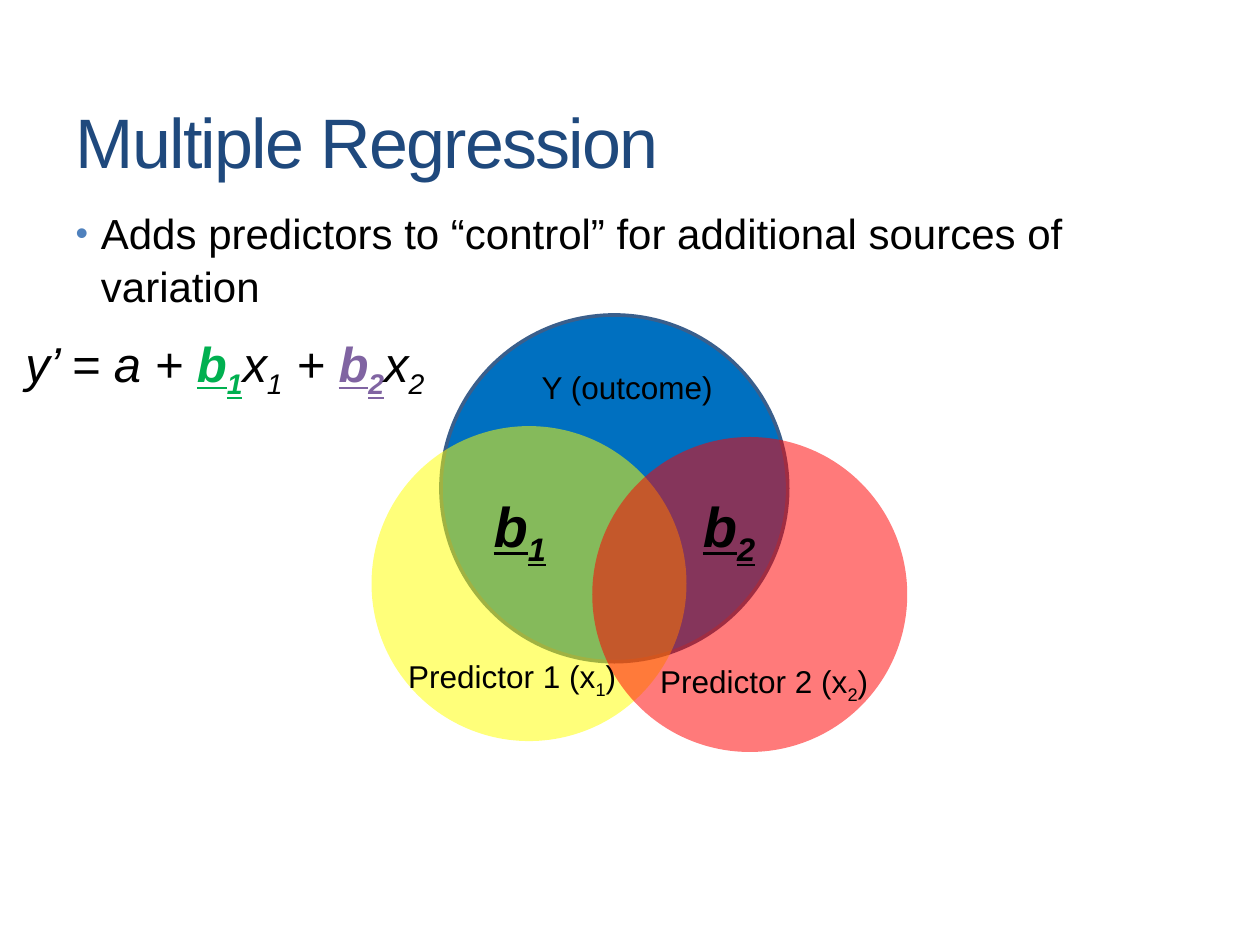
import pptx
import pptx.dml.color
import pptx.enum.shapes
import pptx.enum.text
import pptx.oxml.ns
import pptx.util
from lxml import etree

Cm = pptx.util.Cm
Pt = pptx.util.Pt
ALIGN = pptx.enum.text.PP_ALIGN

FONT = "Arial"
BLACK, NAVY, GREEN, PURPLE = "000000", "1F497D", "00B050", "8064A2"

TITLE = "Multiple Regression"
TITLE_AREA = (1.27, 1.47, 22.86, 2.74)
BULLET = "Adds predictors to “control” for additional sources of variation"
BODY_AREA = (1.27, 4.01, 22.86, 13.54)


def coefficient(number, colour):
    return [("b", colour, "bold"), (number, colour, "bold sub")]


def variable(number):
    return [("x", BLACK, ""), (number, BLACK, "sub")]


def predictor(number):
    return [(f"Predictor {number} (x", BLACK, ""), (number, BLACK, "sub"), (")", BLACK, "")]


FORMULA = [
    ("y’ = a + ", BLACK, ""),
    *coefficient("1", GREEN), *variable("1"),
    (" + ", BLACK, ""),
    *coefficient("2", PURPLE), *variable("2"),
]

LAYERS = [
    ("circle", (8.89, 6.35, 6.99), "0070C0", 100, "3A5F8C"),
    ("circle", (7.49, 8.59, 6.35), "FFFF00", 52, None),
    ("text", (10.67, 7.29, 4.45, 1.02), 18, False, ALIGN.LEFT, [("Y (outcome)", BLACK, "")]),
    ("text", (7.98, 13.13, 5.05, 1.8), 18, False, ALIGN.LEFT, predictor("1")),
    ("text", (-0.43, 6.6, 9.93, 1.45), 28, True, ALIGN.CENTER, FORMULA),
    ("text", (9.7, 9.78, 2.24, 1.63), 32, True, ALIGN.LEFT, coefficient("1", BLACK)),
    ("circle", (11.94, 8.81, 6.35), "FF0000", 52, None),
    ("text", (13.92, 9.78, 2.24, 1.63), 32, True, ALIGN.LEFT, coefficient("2", BLACK)),
    ("text", (13.06, 13.23, 5.23, 1.02), 18, False, ALIGN.LEFT, predictor("2")),
]


def rgb(colour):
    return pptx.dml.color.RGBColor.from_string(colour)


def add_element(parent, tag, **attributes):
    return etree.SubElement(parent, pptx.oxml.ns.qn(tag), attributes)


def style(font, size, colour):
    font.name = FONT
    font.size = Pt(size)
    font.color.rgb = rgb(colour)


def place(shape, area):
    shape.left, shape.top, shape.width, shape.height = map(Cm, area)


def fill_title(box):
    place(box, TITLE_AREA)
    frame = box.text_frame
    frame.text = TITLE
    frame.auto_size = pptx.enum.text.MSO_AUTO_SIZE.NONE
    frame.vertical_anchor = pptx.enum.text.MSO_ANCHOR.MIDDLE
    para = frame.paragraphs[0]
    para.alignment = ALIGN.LEFT
    span = para.runs[0]
    style(span.font, 40, NAVY)
    span._r.get_or_add_rPr().set("spc", "-100")


def fill_body(box):
    place(box, BODY_AREA)
    frame = box.text_frame
    frame.text = BULLET
    frame.auto_size = pptx.enum.text.MSO_AUTO_SIZE.NONE
    para = frame.paragraphs[0]
    para.space_before = Pt(0)
    para.line_spacing = 1.05
    properties = para._p.get_or_add_pPr()
    properties.set("marL", str(Cm(0.51)))
    properties.set("indent", str(-Cm(0.51)))
    add_element(add_element(properties, "a:buClr"), "a:srgbClr", val="4F81BD")
    add_element(properties, "a:buSzPct", val="85000")
    add_element(properties, "a:buFont", typeface=FONT)
    add_element(properties, "a:buChar", char="•")
    style(para.runs[0].font, 24, BLACK)


def add_circle(page, area, colour, opacity, outline):
    left, top, diameter = map(Cm, area)
    oval = pptx.enum.shapes.MSO_SHAPE.OVAL
    circle = page.shapes.add_shape(oval, left, top, diameter, diameter)
    circle.shadow.inherit = False
    circle.fill.solid()
    circle.fill.fore_color.rgb = rgb(colour)
    if opacity < 100:
        tint = circle._element.spPr.find(".//" + pptx.oxml.ns.qn("a:srgbClr"))
        add_element(tint, "a:alpha", val=str(opacity * 1000))
    if outline:
        circle.line.color.rgb = rgb(outline)
        circle.line.width = Pt(2.08)
    else:
        circle.line.fill.background()


def add_text(page, area, size, italic, alignment, pieces):
    box = page.shapes.add_textbox(*map(Cm, area))
    box.text_frame.word_wrap = True
    para = box.text_frame.paragraphs[0]
    para.alignment = alignment
    for text, colour, flags in pieces:
        span = para.add_run()
        span.text = text
        style(span.font, size, colour)
        span.font.italic = italic
        span.font.bold = span.font.underline = "bold" in flags
        if "sub" in flags:
            span._r.get_or_add_rPr().set("baseline", "-25000")


def main():
    deck = pptx.Presentation()
    deck.slide_width, deck.slide_height = Cm(25.4), Cm(19.05)
    page = deck.slides.add_slide(deck.slide_layouts[1])
    fill_title(page.shapes.title)
    fill_body(page.placeholders[1])
    builders = {"circle": add_circle, "text": add_text}
    for kind, *details in LAYERS:
        builders[kind](page, *details)
    deck.save("out.pptx")


if __name__ == "__main__":
    main()
